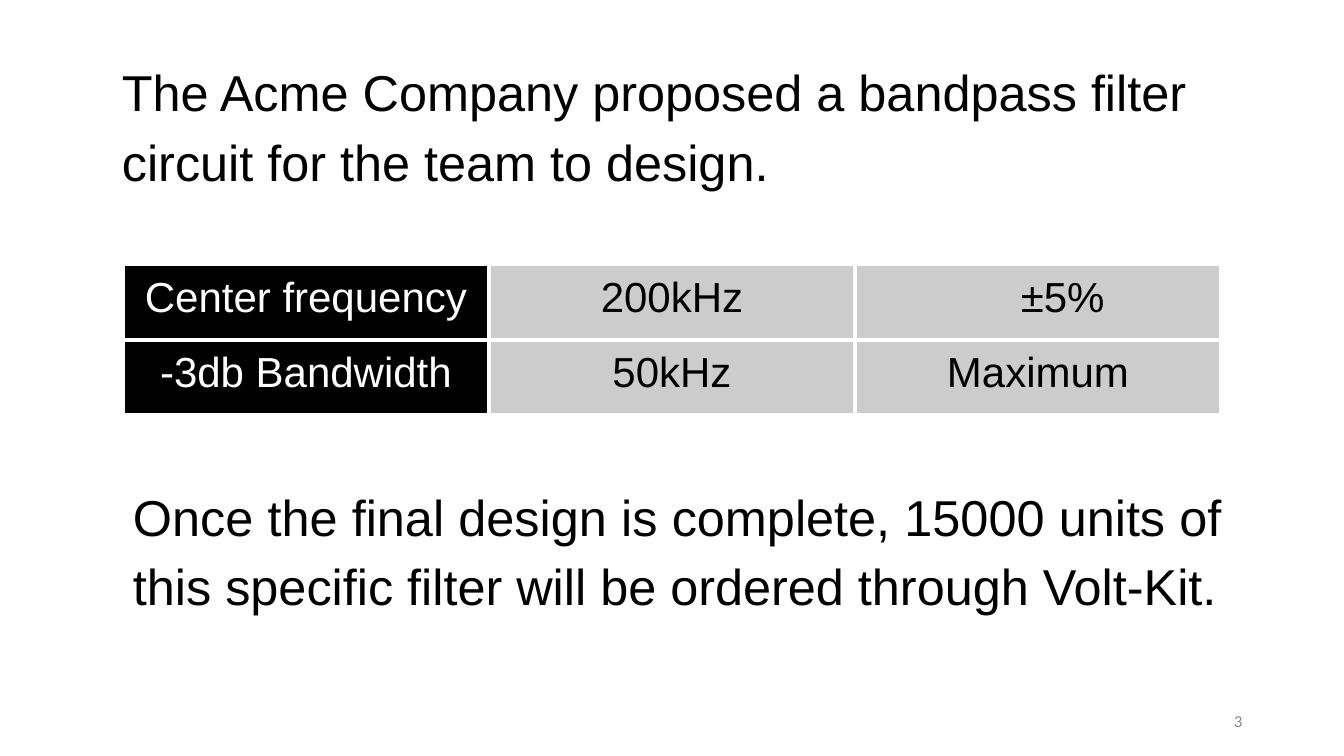
from lxml.etree import SubElement
from pptx import Presentation
from pptx.dml.color import RGBColor
from pptx.enum.text import MSO_ANCHOR, PP_ALIGN
from pptx.oxml.ns import qn
from pptx.util import Inches, Pt

COLORS = {"black": "000000", "white": "FFFFFF", "cell": "CCCCCC", "number": "888888"}
LEFT = 1.22
COLUMN_WIDTH, ROW_HEIGHT = 3.63, 0.75
SPECIFICATIONS = [
    ["Center frequency", "200kHz", "±5%"],
    ["-3db Bandwidth", "50kHz", "Maximum"],
]


def write(frame, text, size, color, align, font="Arial", spacing=None):
    frame.text = text
    frame.word_wrap = True
    para = frame.paragraphs[0]
    para.alignment = align
    para.line_spacing = spacing
    span = para.runs[0]
    span.font.name = font
    span.font.size = Pt(size)
    span.font.color.rgb = RGBColor.from_string(COLORS[color])


def add_text(page, left, top, width, height, margin, *style):
    box = page.shapes.add_textbox(Inches(left), Inches(top), Inches(width), Inches(height))
    frame = box.text_frame
    frame.margin_left = frame.margin_right = Inches(0.1)
    frame.margin_top = frame.margin_bottom = Inches(margin)
    write(frame, *style)
    return frame


deck = Presentation()
deck.slide_width, deck.slide_height = Inches(13.33), Inches(7.5)
page = deck.slides.add_slide(deck.slide_layouts[6])

row_count, column_count = len(SPECIFICATIONS), len(SPECIFICATIONS[0])
table = page.shapes.add_table(
    row_count, column_count, Inches(LEFT), Inches(2.62),
    Inches(COLUMN_WIDTH * column_count), Inches(ROW_HEIGHT * row_count),
).table
table.first_row = table.horz_banding = False

for row, values in enumerate(SPECIFICATIONS):
    for column, value in enumerate(values):
        cell = table.cell(row, column)
        is_label = column == 0
        write(cell.text_frame, value, 30, "white" if is_label else "black", PP_ALIGN.CENTER)
        cell.margin_left = cell.margin_right = Inches(0.1)
        cell.margin_top = cell.margin_bottom = Inches(0.1)
        properties = cell._tc.get_or_add_tcPr()
        for side in ("a:lnL", "a:lnR", "a:lnT", "a:lnB"):
            border = SubElement(properties, qn(side), w=str(Pt(3)))
            SubElement(SubElement(border, qn("a:solidFill")), qn("a:srgbClr"), val=COLORS["white"])
        cell.fill.solid()
        cell.fill.fore_color.rgb = RGBColor.from_string(COLORS["black" if is_label else "cell"])

tolerance = table.cell(0, 2).text_frame.paragraphs[0]
tolerance._p.get_or_add_pPr().set("marL", str(Inches(0.49)))

add_text(page, 1.11, 0.42, 11.11, 1.5, 0.1,
         "The Acme Company proposed a bandpass filter circuit for the team to design.",
         36, "black", PP_ALIGN.LEFT, "Arial", 1.15)
add_text(page, LEFT, 4.63, 11, 2.2, 0.1,
         "Once the final design is complete, 15000 units of this specific filter "
         "will be ordered through Volt-Kit.",
         36, "black", PP_ALIGN.JUSTIFY, "Arial", 1.15)
page_number = add_text(page, 9.42, 6.95, 3, 0.4, 0.05,
                       "3", 12, "number", PP_ALIGN.RIGHT, "Calibri")
page_number.vertical_anchor = MSO_ANCHOR.MIDDLE

deck.save("out.pptx")
